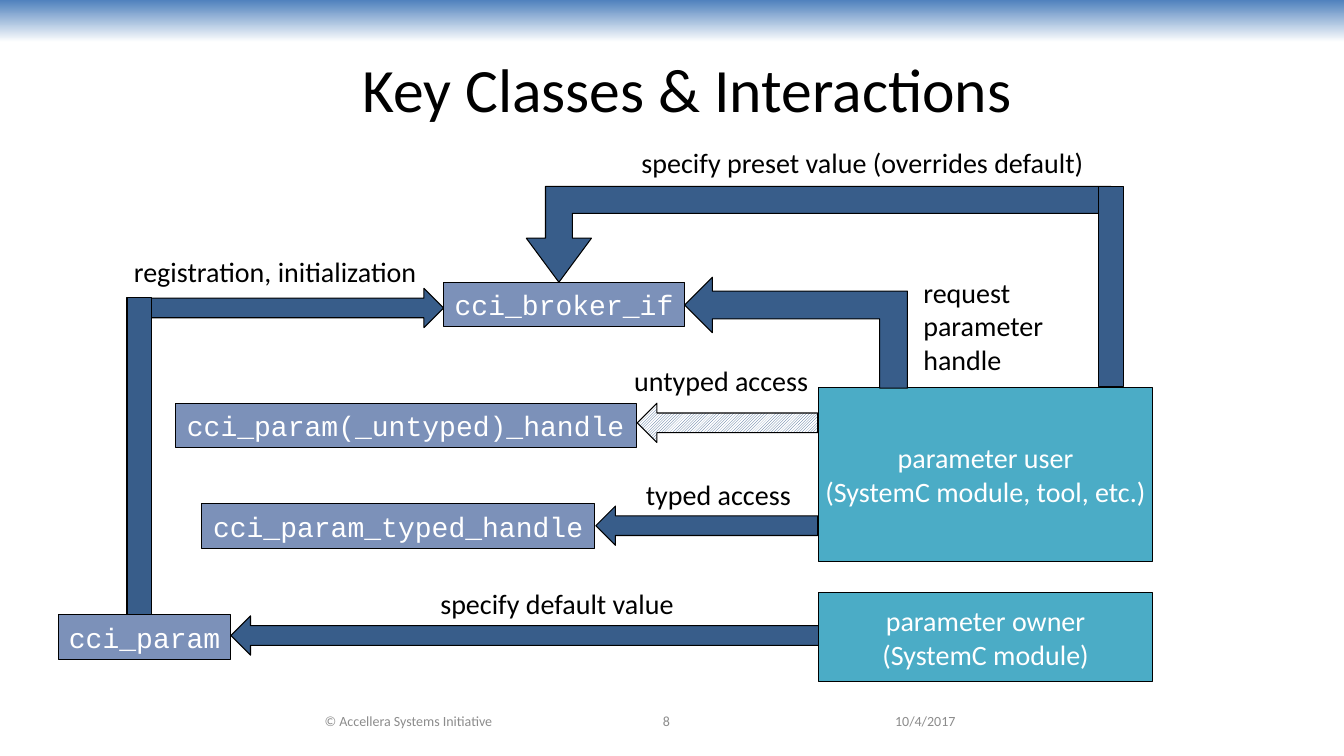
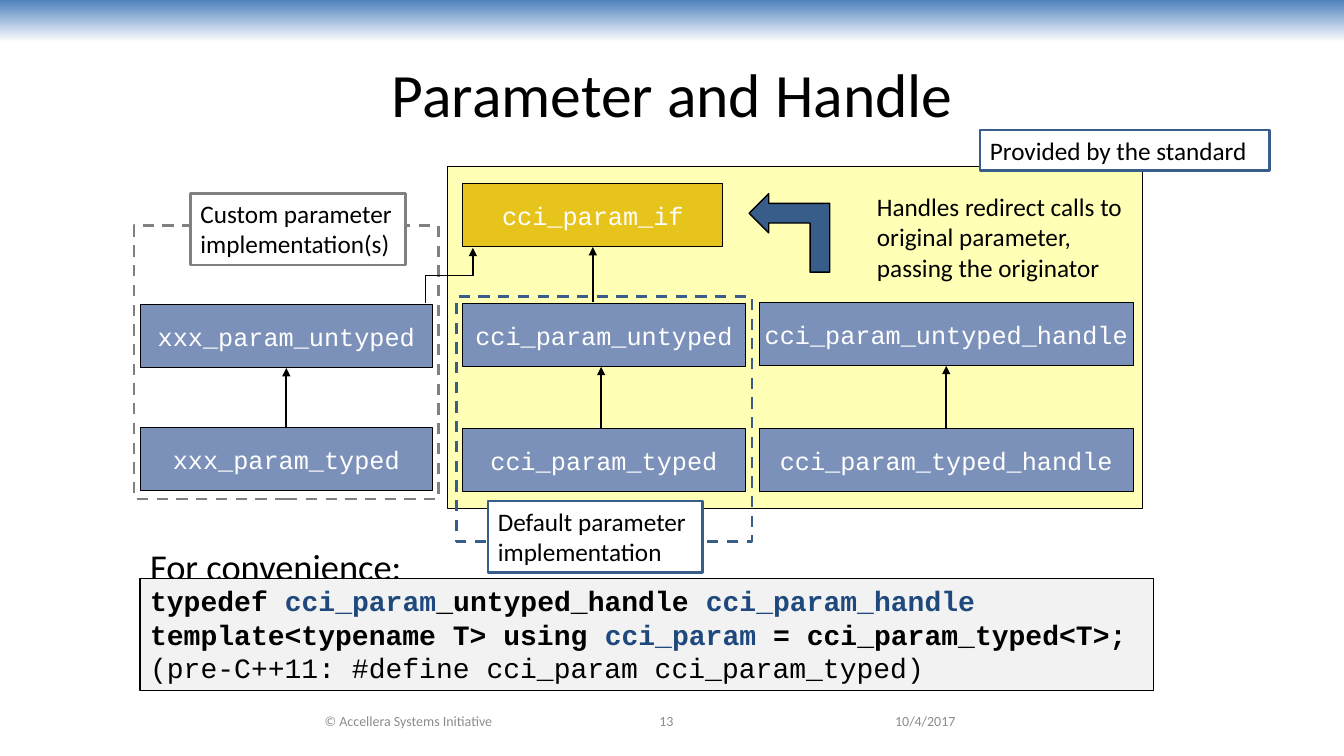
from dataclasses import dataclass

from lxml.etree import SubElement
from pptx import Presentation
from pptx.dml.color import RGBColor
from pptx.enum.dml import MSO_LINE, MSO_PATTERN
from pptx.enum.shapes import MSO_CONNECTOR as CONN, MSO_SHAPE as SHAPE
from pptx.enum.text import MSO_ANCHOR as ANCHOR, PP_ALIGN as ALIGN
from pptx.oxml.ns import qn
from pptx.util import Inches, Pt

BLACK = RGBColor(0x00, 0x00, 0x00)
WHITE = RGBColor(0xFF, 0xFF, 0xFF)
GREY = RGBColor(0x80, 0x80, 0x80)
FOOTER_GREY = RGBColor(0x8C, 0x8C, 0x8C)
PALE_GREY = RGBColor(0xF2, 0xF2, 0xF2)
BAND_BLUE = RGBColor(0x4F, 0x81, 0xBD)
ARROW_BLUE = RGBColor(0x38, 0x5D, 0x8A)
CLASS_BLUE = RGBColor(0x7C, 0x91, 0xB9)
NAME_BLUE = RGBColor(0x1F, 0x49, 0x7D)
TEAL = RGBColor(0x4B, 0xAC, 0xC6)
GOLD = RGBColor(0xE7, 0xC4, 0x1C)
YELLOW = RGBColor(0xFF, 0xFF, 0x00)
SANS, MONO = "Calibri", "Courier New"
COLS, ROWS = 133.3, 75


def grid(n):
    """Convert grid columns or rows, ten to the inch, to a length."""
    return Inches(n / 10)


@dataclass
class Box:
    """A region of the slide in grid columns and rows."""
    x: float
    y: float
    w: float
    h: float

    def inner(self, dx, dy, w, h):
        """Return a box offset from this region's corner."""
        return Box(self.x + dx, self.y + dy, w, h)

    def lengths(self):
        """Return left, top, width and height as lengths."""
        return [grid(n) for n in (self.x, self.y, self.w, self.h)]


def write(shape, lines, size, color=BLACK, font=SANS, align=ALIGN.LEFT,
          anchor=ANCHOR.TOP, wrap=True):
    """Fill a shape with evenly styled paragraphs."""
    tf = shape.text_frame
    tf.word_wrap = wrap
    tf.vertical_anchor = anchor
    tf.text = lines
    for p in tf.paragraphs:
        p.alignment = align
        for r in p.runs:
            r.font.size, r.font.name = Pt(size), font
            r.font.color.rgb = color
    return tf


def label(s, box, lines, size=20, **style):
    """Add a text box."""
    return write(s.shapes.add_textbox(*box.lengths()), lines, size, **style)


def block(s, box, fill=ARROW_BLUE, kind=SHAPE.RECTANGLE, line=BLACK, width=0.75,
          rotation=0, dashed=False):
    """Add a preset shape that covers the box once rotated."""
    if rotation % 180:
        shift = (box.w - box.h) / 2
        box = box.inner(shift, -shift, box.h, box.w)
    sp = s.shapes.add_shape(kind, *box.lengths())
    sp.shadow.inherit = False
    sp.rotation = rotation
    if fill is None:
        sp.fill.background()
    else:
        sp.fill.solid()
        sp.fill.fore_color.rgb = fill
    if line is None:
        sp.line.fill.background()
    else:
        sp.line.color.rgb = line
        sp.line.width = Pt(width)
    if dashed:
        sp.line.dash_style = MSO_LINE.DASH
    return sp


def centred_block(s, box, lines, size, fill=CLASS_BLUE, font=MONO):
    """Add a filled box with white centred text."""
    write(block(s, box, fill), lines, size, WHITE, font, ALIGN.CENTER,
          ANCHOR.MIDDLE, wrap=False)


def tag(s, box, text, line=ARROW_BLUE):
    """Add a white outlined caption."""
    write(block(s, box, WHITE, line=line, width=2), text, 18)


def finish_arrow(c, width):
    """Style a connector and give it an arrowhead."""
    c.line.color.rgb = BLACK
    c.line.width = Pt(width)
    props = c.element.spPr
    SubElement(props.find(qn("a:ln")), qn("a:tailEnd"), type="triangle")
    SubElement(props, qn("a:effectLst"))


def arrow_up(s, x, start, end):
    """Draw a vertical arrow between two rows."""
    ends = [grid(n) for n in (x, start, x, end)]
    finish_arrow(s.shapes.add_connector(CONN.STRAIGHT, *ends), 1.5)


def elbow_up(s, x1, y1, x2, y2):
    """Draw an elbow arrow that leaves and arrives vertically."""
    cx, cy = (x1 + x2) / 2, (y1 + y2) / 2
    dx, dy = (y1 - y2) / 2, (x2 - x1) / 2
    ends = [grid(n) for n in (cx + dx, cy + dy, cx - dx, cy - dy)]
    c = s.shapes.add_connector(CONN.ELBOW, *ends)
    c.element.spPr.find(qn("a:xfrm")).set("rot", "5400000")
    finish_arrow(c, 1)


def base_slide(prs, title, title_box, number):
    """Add a slide with the shared band, title and footer."""
    s = prs.slides.add_slide(prs.slide_layouts[6])
    band = block(s, Box(0, 0, COLS, 4.2), line=None)
    band.fill.gradient()
    band.fill.gradient_angle = 270
    for stop, color in zip(band.fill.gradient_stops, (BAND_BLUE, WHITE)):
        stop.color.rgb = color
    label(s, title_box, title, 44, align=ALIGN.CENTER, anchor=ANCHOR.MIDDLE)
    for x, w, text, align in (
            (24.4, 32.2, "© Accellera Systems Initiative", ALIGN.CENTER),
            (53.3, 25.6, number, ALIGN.CENTER),
            (87.8, 15.6, "10/4/2017", ALIGN.LEFT)):
        label(s, Box(x, 69.5, w, 4), text, 10, color=FOOTER_GREY, align=align,
              anchor=ANCHOR.MIDDLE)
    return s


def handle_access(s, box):
    """Draw the parameter user and its two handles."""
    centred_block(s, box.inner(63.8, 2.8, 33.1, 17.3),
                  "parameter user\n(SystemC module, tool, etc.)", 20, TEAL, SANS)
    centred_block(s, box.inner(0, 4.4, 45.7, 4.4), "cci_param(_untyped)_handle", 20)
    centred_block(s, box.inner(2.6, 14.4, 39, 4.4), "cci_param_typed_handle", 20)
    untyped = block(s, box.inner(45.8, 4.4, 17.9, 3.9), kind=SHAPE.LEFT_ARROW)
    untyped.fill.patterned()
    untyped.fill.pattern = MSO_PATTERN.DARK_UPWARD_DIAGONAL
    untyped.fill.fore_color.rgb = ARROW_BLUE
    untyped.fill.back_color.rgb = WHITE
    block(s, box.inner(41.7, 14.6, 22, 3.9), kind=SHAPE.LEFT_ARROW)
    label(s, box.inner(44.5, 0, 19.5, 4.4), "untyped access", wrap=False)
    label(s, box.inner(44.3, 11.3, 19.1, 4.4), "typed access", align=ALIGN.CENTER)


def broker_access(s, box):
    """Draw the broker with the preset, request and registration arrows."""
    centred_block(s, box.inner(31.4, 14.1, 23.9, 4.4), "cci_broker_if", 20)
    block(s, box.inner(55.3, 13.6, 22.1, 11), kind=SHAPE.BENT_UP_ARROW, rotation=270)
    preset = block(s, box.inner(39.6, 4.6, 58, 9.5), kind=SHAPE.BENT_UP_ARROW,
                   rotation=180)
    for i, share in enumerate((0.28, 0.34, 0.46)):
        preset.adjustments[i] = share
    block(s, box.inner(96.4, 4.6, 2.4, 19.8))
    block(s, box.inner(2.3, 14.7, 29.1, 3.9), kind=SHAPE.RIGHT_ARROW)
    block(s, box.inner(0, 15.6, 2.4, 31.5))
    label(s, box.inner(49.3, 0, 47.3, 4.4),
          "specify preset value (overrides default)", align=ALIGN.CENTER)
    label(s, box.inner(78, 12.9, 14, 11.1), "request\nparameter\nhandle", wrap=False)
    label(s, box.inner(-0.3, 10.9, 30.4, 4.4), "registration, initialization",
          wrap=False)


def owner_access(s, box):
    """Draw the parameter owner and the parameter it sets."""
    centred_block(s, box.inner(0, 3.3, 17.1, 4.4), "cci_param", 20)
    block(s, box.inner(17.1, 3.4, 58.6, 3.9), kind=SHAPE.LEFT_ARROW)
    centred_block(s, box.inner(75.4, 1.1, 33.1, 8.8),
                  "parameter owner\n(SystemC module)", 20, TEAL, SANS)
    label(s, box.inner(25.8, 0, 47.3, 4.4), "specify default value",
          align=ALIGN.CENTER)


def class_pair(s, box, base, derived, axis=0.5):
    """Draw a derived class pointing up to its base class."""
    rows = 6.3
    low = box.h - rows
    centred_block(s, box.inner(0, 0, box.w, rows), base, 18)
    centred_block(s, box.inner(0, low, box.w, rows), derived, 18)
    arrow_up(s, box.x + axis * box.w, box.y + low, box.y + rows)


def standard_classes(s, box):
    """Draw the yellow area of classes that the standard provides."""
    area = block(s, box, YELLOW)
    color = area.element.spPr.find(".//" + qn("a:srgbClr"))
    SubElement(color, qn("a:alpha"), val="29000")
    class_pair(s, box.inner(1.5, 13.6, 28, 18.7), "cci_param_untyped",
               "cci_param_typed", 0.49)
    class_pair(s, box.inner(30.9, 13.5, 37.1, 18.8), "cci_param_untyped_handle",
               "cci_param_typed_handle")
    centred_block(s, box.inner(1.5, 1.7, 25.8, 6.3), "cci_param_if", 18, GOLD)
    arrow_up(s, box.x + 14.4, box.y + 13.5, box.y + 8)
    block(s, box.inner(29.9, 2.7, 8, 7.8), kind=SHAPE.BENT_UP_ARROW, width=1,
          rotation=270)
    label(s, box.inner(41.6, 2, 26.4, 10.1),
          "Handles redirect calls to original parameter, passing the originator", 18)
    block(s, box.inner(0.9, 12.9, 29.3, 24.3), None, line=ARROW_BLUE, width=2,
          dashed=True)
    tag(s, box.inner(4, 33.2, 21.3, 7.1), "Default parameter implementation")
    tag(s, box.inner(52.8, -3.6, 28.7, 4), "Provided by the standard")


def custom_classes(s, box):
    """Draw the dashed area of custom classes."""
    block(s, box, None, line=GREY, width=2, dashed=True)
    class_pair(s, box.inner(0.6, 7.8, 29, 18.5), "xxx_param_untyped",
               "xxx_param_typed")
    elbow_up(s, box.x + 28.9, box.y + 7.7, box.x + 33.6, box.y + 2.2)
    tag(s, box.inner(5.6, -3.2, 21.3, 7.1), "Custom parameter implementation(s)", GREY)


def convenience_code(s, box):
    """Draw the heading and the code panel under it."""
    tf = label(s, box.inner(0, 0, 90, 5.8), "For convenience:", 26,
               anchor=ANCHOR.BOTTOM)
    tf.margin_bottom = Inches(0.01)
    panel = block(s, box.inner(0, 4.8, box.w, box.h - 4.8), PALE_GREY, width=1)
    lines = (
        (("typedef ", BLACK), ("cci_param", NAME_BLUE), ("_untyped_handle ", BLACK),
         ("cci_param_handle", NAME_BLUE)),
        (("template<typename T> using ", BLACK), ("cci_param", NAME_BLUE),
         (" = cci_param_typed<T>;", BLACK)),
        (("(pre-C++11: #define cci_param cci_param_typed)", BLACK),),
    )
    text = "\n".join("".join(code for code, _ in line) for line in lines)
    tf = write(panel, text, 20, font=MONO)
    for p, line in zip(tf.paragraphs, lines):
        p.clear()
        for code, color in line:
            r = p.add_run()
            r.text = code
            r.font.size, r.font.name = Pt(20), MONO
            r.font.bold = line is not lines[-1]
            r.font.color.rgb = color


def interactions_slide(prs):
    """Build the slide of classes and interactions."""
    s = base_slide(prs, "Key Classes & Interactions", Box(27.4, 2.5, 81.5, 12.5), "8")
    handle_access(s, Box(17.4, 35.6, 96.9, 20.1))
    broker_access(s, Box(12.6, 13.9, 98.8, 47.1))
    owner_access(s, Box(5.8, 57.7, 108.5, 9.9))


def handle_slide(prs):
    """Build the slide of parameter and handle classes."""
    s = base_slide(prs, "Parameter and Handle", Box(6.7, 3, 120, 12.5), "13")
    standard_classes(s, Box(44.4, 16.5, 68.9, 34))
    custom_classes(s, Box(13.3, 22.4, 30.2, 27.1))
    convenience_code(s, Box(13.9, 52.6, 100.5, 15.9))


def main():
    """Build and save the presentation."""
    prs = Presentation()
    prs.slide_width, prs.slide_height = grid(COLS), grid(ROWS)
    interactions_slide(prs)
    handle_slide(prs)
    prs.save("out.pptx")


if __name__ == "__main__":
    main()
